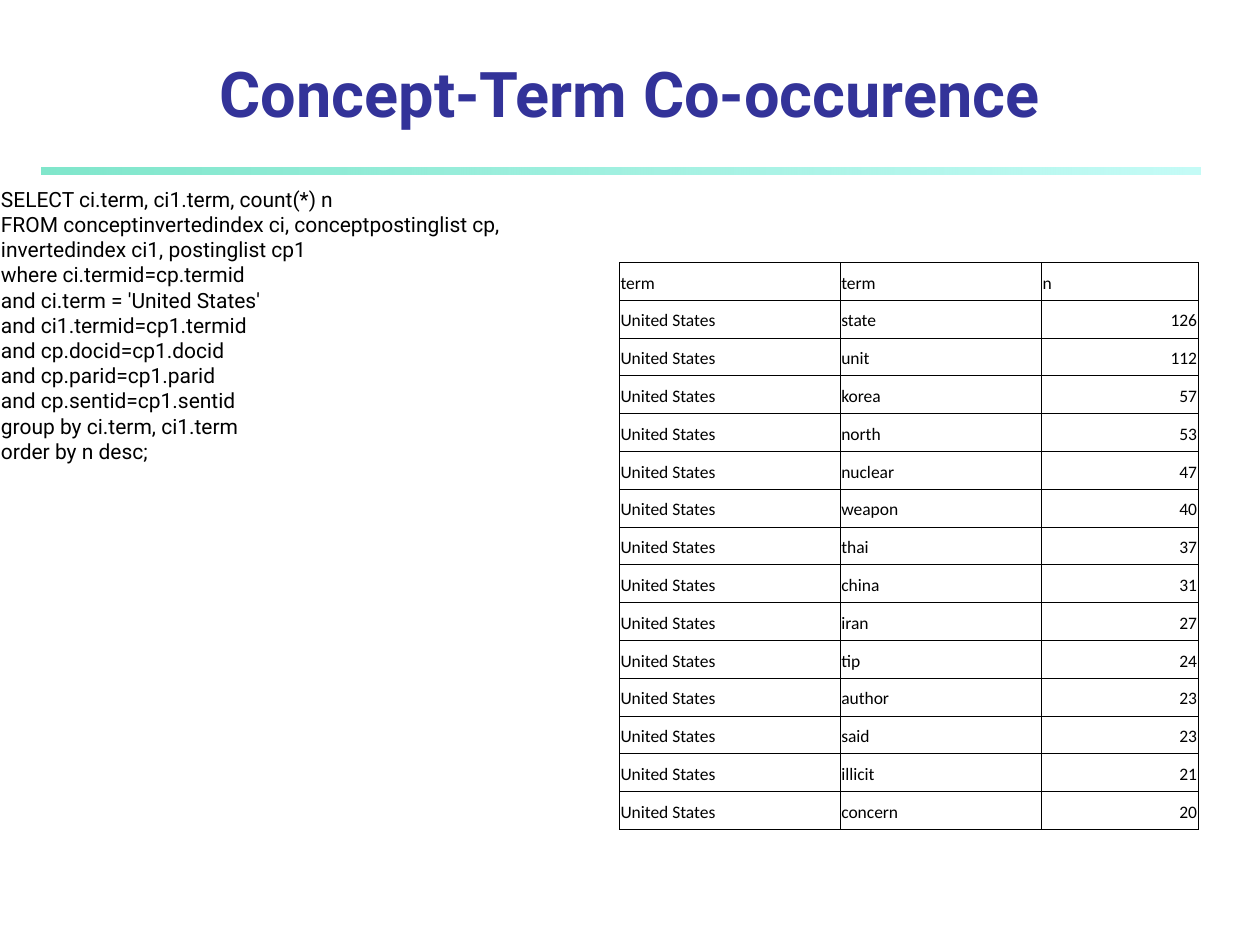
import pptx
import pptx.dml.color
import pptx.enum.shapes
import pptx.enum.text
import pptx.oxml
import pptx.oxml.ns
import pptx.util
from lxml import etree

Cm = pptx.util.Cm
Pt = pptx.util.Pt
ALIGN = pptx.enum.text.PP_ALIGN
ANCHOR = pptx.enum.text.MSO_ANCHOR
qn = pptx.oxml.ns.qn

COLORS = {"title": "333399", "text": "000000", "border": "000000",
          "rule_right": "8FF9EF", "rule_left": "00CE98"}
RULE_ALPHA = (52, 50)
BORDER_WIDTH = Pt(0.45)
COLUMN_WIDTHS = (4.45, 4.06, 3.15)

TITLE_FONT = {"name": "Roboto", "size": Pt(36), "bold": True}
QUERY_FONT = {"name": "Roboto", "size": Pt(12), "bold": False}
CELL_FONT = {"name": "Calibri", "size": Pt(10), "bold": False}

QUERY = """SELECT ci.term, ci1.term, count(*) n
FROM conceptinvertedindex ci, conceptpostinglist cp,
invertedindex ci1, postinglist cp1
where ci.termid=cp.termid
and ci.term = 'United States'
and ci1.termid=cp1.termid
and cp.docid=cp1.docid
and cp.parid=cp1.parid
and cp.sentid=cp1.sentid
group by ci.term, ci1.term
order by n desc;"""

CONCEPT = "United States"
HEADER = ("term", "term", "n")
COUNTS = (("state", 126), ("unit", 112), ("korea", 57), ("north", 53),
          ("nuclear", 47), ("weapon", 40), ("thai", 37), ("china", 31),
          ("iran", 27), ("tip", 24), ("author", 23), ("said", 23),
          ("illicit", 21), ("concern", 20))


def rgb(key):
    """Return the named colour."""
    return pptx.dml.color.RGBColor.from_string(COLORS[key])


def apply(target, values):
    """Set every attribute in values on target."""
    for attribute, value in values.items():
        setattr(target, attribute, value)


def write(frame, text, font, color, align=ALIGN.LEFT):
    """Fill a text frame with one formatted paragraph per line."""
    frame.text = text
    for line in frame.paragraphs:
        line.alignment = align
        apply(line.font, font)
        line.font.color.rgb = rgb(color)


def set_title(slide, text):
    """Place and format the title placeholder."""
    title = slide.shapes.title
    apply(title, {"left": Cm(0), "top": Cm(1.06), "width": Cm(25.4), "height": Cm(1.7)})
    apply(title.text_frame, {"vertical_anchor": ANCHOR.BOTTOM, "word_wrap": True,
                             "auto_size": pptx.enum.text.MSO_AUTO_SIZE.NONE})
    write(title.text_frame, text, TITLE_FONT, "title", ALIGN.CENTER)


def add_rule(slide):
    """Draw the translucent gradient bar under the title."""
    rule = slide.shapes.add_shape(pptx.enum.shapes.MSO_SHAPE.RECTANGLE,
                                  Cm(0.84), Cm(3.37), Cm(23.37), Cm(0.14))
    rule.shadow.inherit = False
    rule.line.fill.background()
    rule.fill.gradient()
    rule.fill.gradient_angle = 180
    for stop, key in zip(rule.fill.gradient_stops, ("rule_right", "rule_left")):
        stop.color.rgb = rgb(key)
    stop_colors = rule.element.spPr.iter(qn("a:srgbClr"))
    for stop_color, percent in zip(list(stop_colors), RULE_ALPHA):
        etree.SubElement(stop_color, qn("a:alpha"), val=str(percent * 1000))


def add_query(slide, text):
    """Add the SQL statement."""
    query = slide.shapes.add_textbox(Cm(-0.23), Cm(3.63), Cm(11.23), Cm(5.84))
    write(query.text_frame, text, QUERY_FONT, "text")
    apply(query.text_frame, {"vertical_anchor": ANCHOR.MIDDLE, "word_wrap": False,
                             "auto_size": pptx.enum.text.MSO_AUTO_SIZE.SHAPE_TO_FIT_TEXT})


def add_borders(cell):
    """Outline all four sides of a cell."""
    properties = cell._tc.get_or_add_tcPr()
    for side in ("lnL", "lnR", "lnT", "lnB"):
        line = etree.SubElement(properties, qn(f"a:{side}"), w=str(BORDER_WIDTH))
        fill = etree.SubElement(line, qn("a:solidFill"))
        etree.SubElement(fill, qn("a:srgbClr"), val=COLORS["border"])


def add_counts(slide, rows):
    """Add the table of co-occurrence counts."""
    table = slide.shapes.add_table(len(rows), len(HEADER), Cm(12.49), Cm(5.29),
                                   Cm(sum(COLUMN_WIDTHS)), Cm(11.43)).table
    apply(table, {"first_row": False, "horz_banding": False})
    for column, width in zip(table.columns, COLUMN_WIDTHS):
        column.width = Cm(width)
    for row, values in zip(table.rows, rows):
        for cell, value in zip(row.cells, values):
            align = ALIGN.RIGHT if isinstance(value, int) else ALIGN.LEFT
            write(cell.text_frame, str(value), CELL_FONT, "text", align)
            apply(cell, {"margin_left": Cm(0.02), "margin_right": Cm(0.02),
                         "margin_top": Cm(0.13), "margin_bottom": Cm(0.13),
                         "vertical_anchor": ANCHOR.BOTTOM})
            add_borders(cell)
            cell.fill.background()


def main():
    """Build and save the slide."""
    deck = pptx.Presentation()
    apply(deck, {"slide_width": Cm(25.4), "slide_height": Cm(19.05)})
    slide = deck.slides.add_slide(deck.slide_layouts[5])
    add_rule(slide)
    set_title(slide, "Concept-Term Co-occurence")
    add_query(slide, QUERY)
    add_counts(slide, [HEADER] + [(CONCEPT, *count) for count in COUNTS])
    deck.save("out.pptx")


if __name__ == "__main__":
    main()
